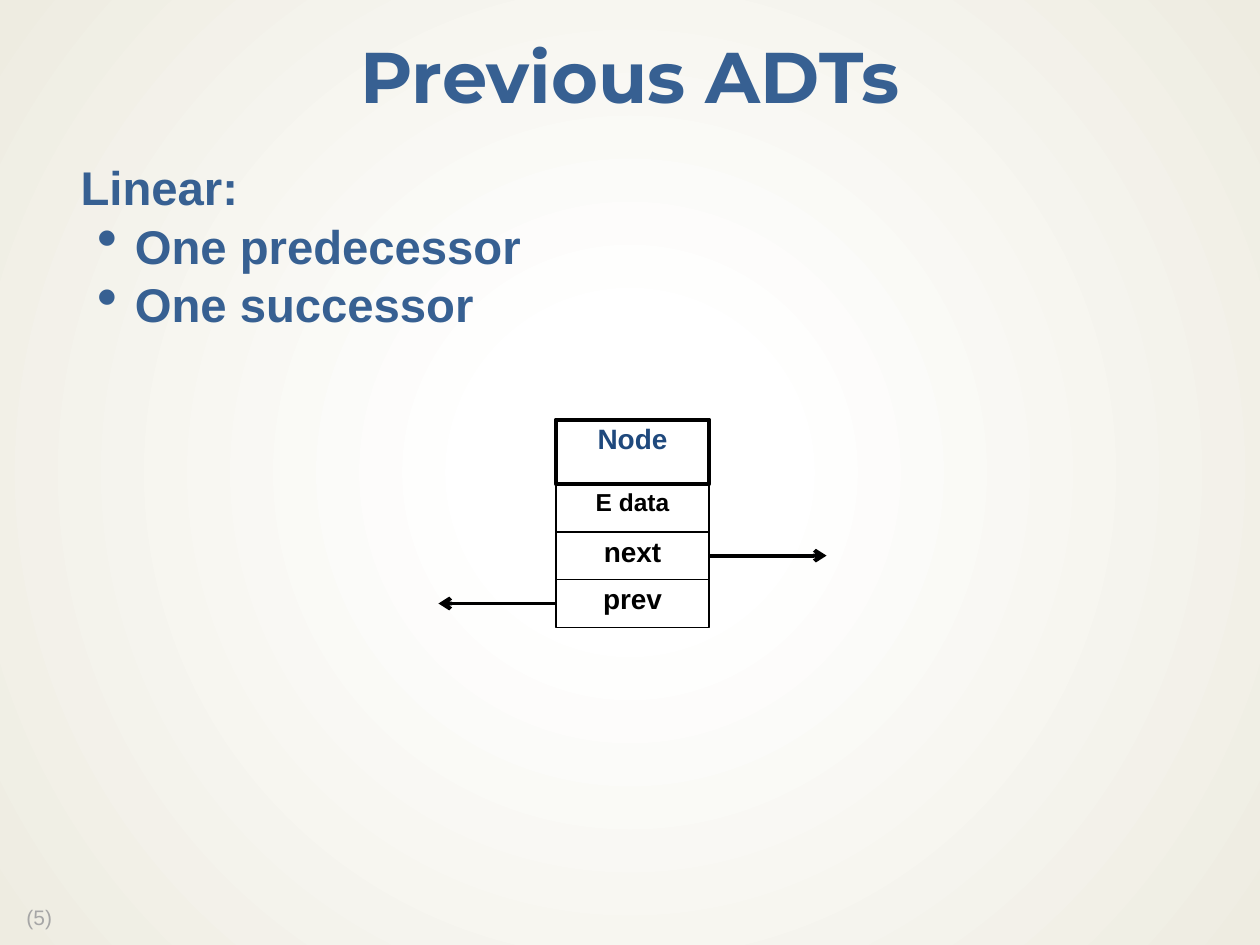
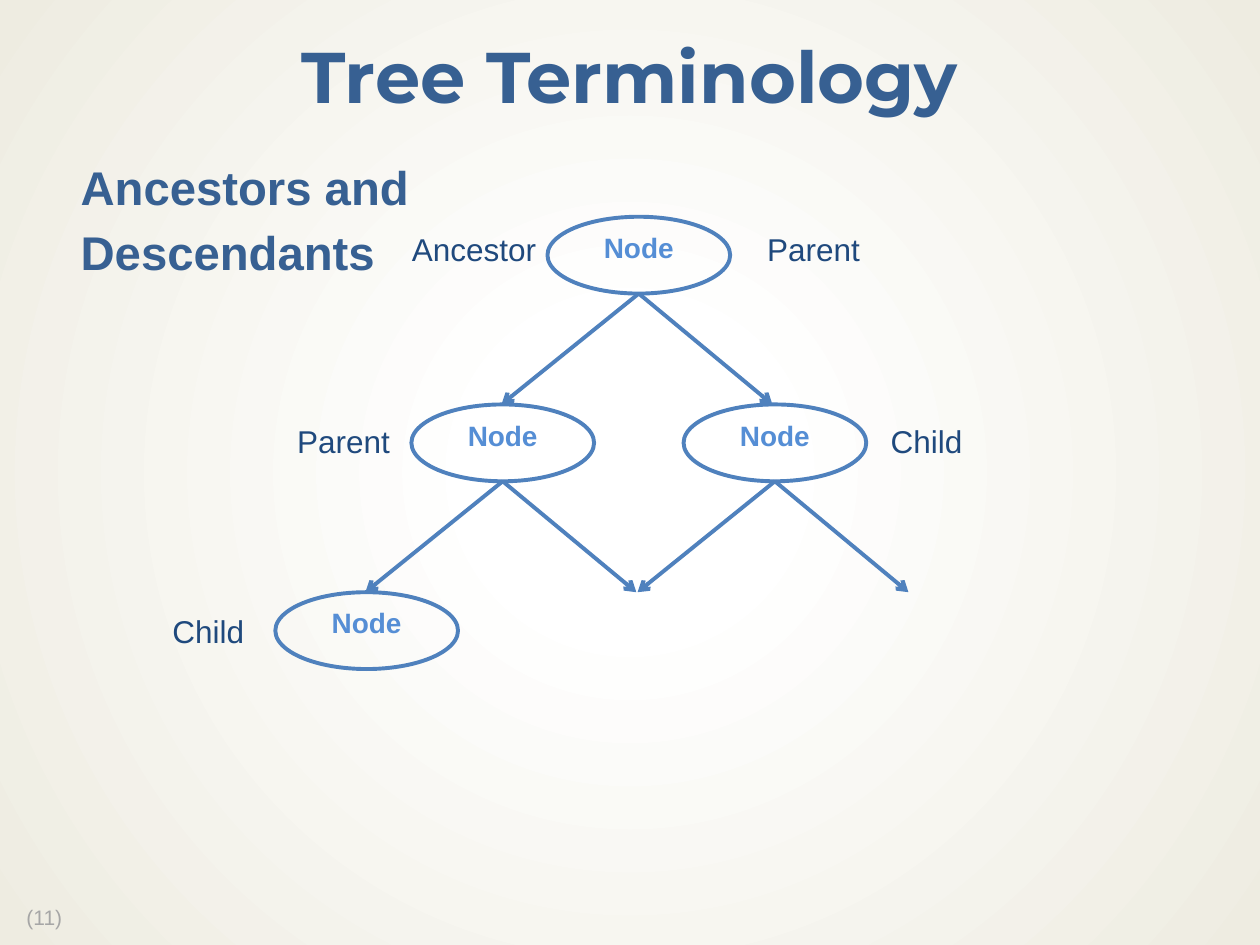
"""Build two slides on linear ADTs and tree terminology."""
from lxml.etree import SubElement
from pptx import Presentation
from pptx.dml.color import RGBColor
from pptx.enum.shapes import MSO_CONNECTOR as Connector, MSO_SHAPE as Shape
from pptx.enum.text import MSO_ANCHOR as Anchor, PP_ALIGN as Align
from pptx.oxml.ns import qn
from pptx.util import Inches, Pt

COLORS = {
    "center": "FFFFFF", "edge": "EEECE1", "heading": "376092", "label": "1F497D",
    "node": "558ED5", "tree": "4F81BD", "ink": "000000", "footer": "A6A6A6",
}
HEADING_FONT, TEXT_FONT = "Montserrat", "Arial"
TIGHT = 0.9
THICK, THIN = 2.25, 1

LINEAR = {"title": "Previous ADTs", "number": "(5)",
          "body": [("Linear:", 0), ("One predecessor", 1), ("One successor", 1)]}
TREE = {"title": "Tree Terminology", "number": "(11)",
        "body": [("Ancestors and", 0), ("Descendants", 0)]}

LEVELS = [{"margin": 0.14, "indent": 0, "before": 7.6, "bullet": False},
          {"margin": 0.57, "indent": -0.3, "before": 4, "bullet": True}]

FIELDS = [("Node", 0.51, 16, "label", THICK), ("E data", 0.38, 14, "ink", THIN),
          ("next", 0.38, 16, "ink", THIN), ("prev", 0.38, 16, "ink", THIN)]
RECORD_LEFT, RECORD_TOP, RECORD_WIDTH = 4.41, 3.33, 1.22
POINTERS = [("next", 3, 0.93), ("prev", 1, -0.93)]

ROOT_CENTER, ROOT_TOP = 5.07, 1.72
COLUMN_STEP, ROW_STEP = 1.08, 1.49
NODE_WIDTH, NODE_HEIGHT = 1.45, 0.61
BRANCH_REACH = (-1.09, 1.06)
NODES = [(0, 0, True), (1, 1, True), (-1, 1, True), (-2, 2, False)]
LABELS = [("Ancestor", 3.17, 1.78, 1.21), ("Parent", 5.99, 1.78, 0.95),
          ("Parent", 2.26, 3.3, 0.95), ("Child", 6.97, 3.3, 0.78),
          ("Child", 1.27, 4.81, 0.78)]


def color(name):
    return RGBColor.from_string(COLORS[name])


def add_span(para, text, size, color_name, bold=False, font=TEXT_FONT):
    span = para.add_run()
    span.text = text
    span.font.name, span.font.size, span.font.bold = font, Pt(size), bold
    span.font.color.rgb = color(color_name)


def add_box(page, left, top, width, height, insets=(0.1, 0.05), wrap=True):
    box = page.shapes.add_textbox(*map(Inches, (left, top, width, height)))
    frame = box.text_frame
    frame.word_wrap = wrap
    frame.margin_left = frame.margin_right = Inches(insets[0])
    frame.margin_top = frame.margin_bottom = Inches(insets[1])
    return frame


def add_background(page):
    fill = page.background.fill
    fill.gradient()
    for stop, position, name in zip(fill.gradient_stops, (0.18, 1), ("center", "edge")):
        stop.position = position
        stop.color.rgb = color(name)
    gradient = page.background._cSld.find(".//" + qn("a:gradFill"))
    gradient.remove(gradient.find(qn("a:lin")))
    circle = SubElement(gradient, qn("a:path"), path="circle")
    SubElement(circle, qn("a:fillToRect"), l="50000", t="50000", r="50000", b="50000")


def add_body(page, items):
    frame = add_box(page, 0.38, 1.25, 9.25, 5.65, (0.12, 0.06))
    for index, (text, depth) in enumerate(items):
        para = frame.add_paragraph() if index else frame.paragraphs[0]
        level = LEVELS[depth]
        para.level = depth
        para.line_spacing = TIGHT
        para.space_before = Pt(level["before"] if index else 0)
        properties = para._p.get_or_add_pPr()
        properties.set("marL", str(Inches(level["margin"])))
        properties.set("indent", str(Inches(level["indent"])))
        if level["bullet"]:
            SubElement(properties, qn("a:buSzPct"), val="125000")
            SubElement(properties, qn("a:buChar"), char="•")
        add_span(para, text, 27, "heading", True)


def add_page(deck, content):
    page = deck.slides.add_slide(deck.slide_layouts[6])
    add_background(page)
    footer = add_box(page, 0.07, 7.15, 0.56, 0.28, wrap=False)
    footer.margin_left, footer.margin_right = Inches(0.14), 0
    footer.paragraphs[0].line_spacing = TIGHT
    add_span(footer.paragraphs[0], content["number"], 12, "footer")
    title = add_box(page, 0, 0.17, 10, 0.94, (0.13, 0.06))
    title.vertical_anchor = Anchor.MIDDLE
    para = title.paragraphs[0]
    para.alignment, para.line_spacing = Align.CENTER, TIGHT
    add_span(para, content["title"], 41, "heading", True, HEADING_FONT)
    add_body(page, content["body"])
    return page


def add_outline(page, kind, place, text, size, text_color, line_color, weight):
    shape = page.shapes.add_shape(kind, *map(Inches, place))
    shape.shadow.inherit = False
    shape.fill.background()
    shape.line.color.rgb, shape.line.width = color(line_color), Pt(weight)
    shape.text_frame.vertical_anchor = Anchor.TOP
    para = shape.text_frame.paragraphs[0]
    para.alignment, para.line_spacing = Align.CENTER, TIGHT
    add_span(para, text, size, text_color, True)
    return shape


def add_arrow(page, start, end, line_color):
    arrow = page.shapes.add_connector(Connector.STRAIGHT, *map(Inches, (*start, *end)))
    arrow.line.color.rgb, arrow.line.width = color(line_color), Pt(THICK)
    SubElement(arrow.line._get_or_add_ln(), qn("a:tailEnd"), type="arrow")
    SubElement(arrow._element.spPr, qn("a:effectLst"))
    return arrow


def draw_record(page):
    top, cells, middles = RECORD_TOP, {}, {}
    for name, height, size, text_color, weight in FIELDS:
        place = (RECORD_LEFT, top, RECORD_WIDTH, height)
        cells[name] = add_outline(page, Shape.RECTANGLE, place, name, size,
                                  text_color, "ink", weight)
        middles[name] = top + height / 2
        top += height
    for name, side, reach in POINTERS:
        start = RECORD_LEFT + (RECORD_WIDTH if reach > 0 else 0)
        arrow = add_arrow(page, (start, middles[name]), (start + reach, middles[name]), "ink")
        arrow.begin_connect(cells[name], side)


def draw_tree(page):
    for column, row, branches in NODES:
        center = ROOT_CENTER + column * COLUMN_STEP
        top = ROOT_TOP + row * ROW_STEP
        place = (center - NODE_WIDTH / 2, top, NODE_WIDTH, NODE_HEIGHT)
        add_outline(page, Shape.OVAL, place, "Node", 16, "node", "tree", THICK)
        for reach in BRANCH_REACH if branches else ():
            add_arrow(page, (center, top + NODE_HEIGHT),
                      (center + reach, top + ROW_STEP), "tree")
    for text, left, top, width in LABELS:
        frame = add_box(page, left, top, width, 0.4, wrap=False)
        add_span(frame.paragraphs[0], text, 18, "label")


def main():
    deck = Presentation()
    deck.slide_width, deck.slide_height = Inches(10), Inches(7.5)
    draw_record(add_page(deck, LINEAR))
    draw_tree(add_page(deck, TREE))
    deck.save("out.pptx")


if __name__ == "__main__":
    main()
